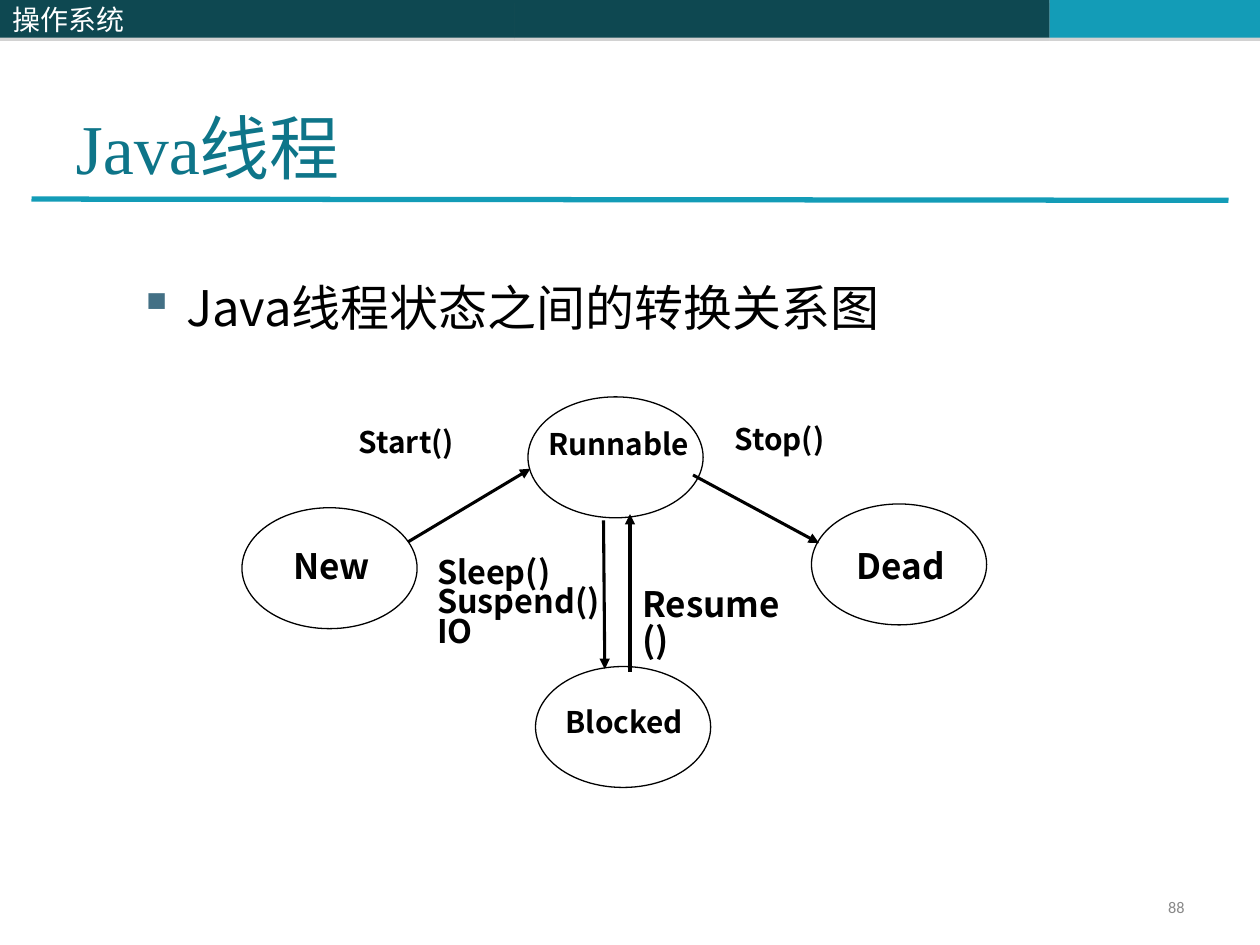
import pptx
import pptx.dml.color
import pptx.enum.shapes
import pptx.enum.text
import pptx.oxml
import pptx.oxml.ns
import pptx.util
import lxml.etree

Inches = pptx.util.Inches
Pt = pptx.util.Pt
ALIGN = pptx.enum.text.PP_ALIGN
ANCHOR = pptx.enum.text.MSO_ANCHOR
SHAPE = pptx.enum.shapes.MSO_SHAPE
COLOURS = {
    "dark": "0E4851", "accent": "139CB7", "title": "0E7589", "bullet": "437085",
    "black": "000000", "white": "FFFFFF", "number": "898989", "shadow": "808080",
}
SANS = "Noto Sans CJK SC"
TIGHT = (0.02, 0.01)
NORMAL = (0.1, 0.05)


def colour(name):
    return pptx.dml.color.RGBColor.from_string(COLOURS[name])


def add_element(parent, tag, **attributes):
    return lxml.etree.SubElement(parent, pptx.oxml.ns.qn(tag), attributes)


class SlideBuilder:
    def __init__(self, slide):
        self.slide = slide

    def fill_text(self, shape, text, size, colour_name="black", font=SANS, bold=False,
                  align=ALIGN.LEFT, spacing=None, anchor=ANCHOR.TOP, insets=NORMAL):
        frame = shape.text_frame
        frame.text = text
        frame.word_wrap = True
        frame.auto_size = pptx.enum.text.MSO_AUTO_SIZE.NONE
        frame.vertical_anchor = anchor
        frame.margin_left = frame.margin_right = Inches(insets[0])
        frame.margin_top = frame.margin_bottom = Inches(insets[1])
        for paragraph in frame.paragraphs:
            paragraph.alignment = align
            paragraph.line_spacing = spacing
            for run in paragraph.runs:
                run.font.size = Pt(size)
                run.font.name = font
                run.font.bold = bold
                run.font.color.rgb = colour(colour_name)
                add_element(run.font._element, "a:ea", typeface=SANS)

    def title(self, box, text):
        shape = self.slide.shapes.title
        shape.left, shape.top, shape.width, shape.height = map(Inches, box)
        self.fill_text(shape, text, 40, "title", "Times New Roman", anchor=ANCHOR.BOTTOM)

    def text(self, box, text, size, **style):
        shape = self.slide.shapes.add_textbox(*map(Inches, box))
        self.fill_text(shape, text, size, **style)
        return shape

    def bullet(self, box, text, size):
        shape = self.text(box, text, size)
        properties = shape.text_frame.paragraphs[0]._p.get_or_add_pPr()
        properties.set("marL", str(Inches(0.38)))
        properties.set("indent", str(Inches(-0.38)))
        bullet_colour = add_element(properties, "a:buClr")
        add_element(bullet_colour, "a:srgbClr", val=COLOURS["bullet"])
        add_element(properties, "a:buChar", char="▪")

    def header_bar(self, left, width, fill, text=""):
        bar = self.slide.shapes.add_shape(
            SHAPE.RECTANGLE, Inches(left), Inches(0), Inches(width), Inches(0.3))
        bar.shadow.inherit = False
        bar.fill.solid()
        bar.fill.fore_color.rgb = colour(fill)
        bar.line.fill.background()
        effects = bar._element.spPr.find(pptx.oxml.ns.qn("a:effectLst"))
        shadow = add_element(effects, "a:outerShdw", blurRad="0", dist=str(Pt(1.8)),
                             dir="5400000", rotWithShape="0")
        shadow_colour = add_element(shadow, "a:srgbClr", val=COLOURS["shadow"])
        add_element(shadow_colour, "a:alpha", val="35000")
        if text:
            self.fill_text(bar, text, 16, "white", anchor=ANCHOR.MIDDLE)

    def state(self, left, top, name, label_box, size, align=ALIGN.CENTER, spacing=None):
        ellipse = self.slide.shapes.add_shape(
            SHAPE.OVAL, Inches(left), Inches(top), Inches(1.39), Inches(0.96))
        ellipse.shadow.inherit = False
        ellipse.fill.solid()
        ellipse.fill.fore_color.rgb = colour("white")
        ellipse.line.color.rgb = colour("black")
        ellipse.line.width = Pt(0.75)
        self.text(label_box, name, size, bold=True, align=align, spacing=spacing,
                  insets=TIGHT)

    def line(self, start, end, colour_name="black", width=1.75, arrow=True):
        connector = self.slide.shapes.add_connector(
            pptx.enum.shapes.MSO_CONNECTOR.STRAIGHT, *map(Inches, start + end))
        connector.line.color.rgb = colour(colour_name)
        connector.line.width = Pt(width)
        add_element(connector._element.spPr, "a:effectLst")
        if arrow:
            add_element(connector.line._get_or_add_ln(), "a:tailEnd", type="triangle")


def main():
    presentation = pptx.Presentation()
    presentation.slide_width = Inches(10)
    presentation.slide_height = Inches(7.5)
    builder = SlideBuilder(presentation.slides.add_slide(presentation.slide_layouts[5]))

    builder.header_bar(4.08, 4.25, "dark")
    builder.header_bar(8.33, 1.67, "accent")
    builder.line((0.25, 1.58), (9.75, 1.59), "accent", 3, arrow=False)
    builder.header_bar(0, 4.08, "dark", "操作系统")
    builder.title((0.5, 0.3, 9, 1.25), "Java线程")
    builder.bullet((1, 2.15, 8.5, 4.5), "Java线程状态之间的转换关系图", 28)

    builder.state(4.19, 3.15, "Runnable", (4.33, 3.4, 1.25, 0.43), 17, ALIGN.JUSTIFY, 0.9)
    builder.state(4.25, 5.29, "Blocked", (4.42, 5.61, 1.07, 0.48), 17, spacing=0.9)
    builder.state(6.44, 4, "Dead", (6.71, 4.31, 0.88, 0.61), 20)
    builder.state(1.92, 4.03, "New", (2.19, 4.31, 0.88, 0.61), 20)

    transitions = [
        ((3.24, 4.3), (4.21, 3.72)),
        ((5.5, 3.77), (6.5, 4.31)),
        ((4.79, 4.13), (4.8, 5.31)),
        ((5, 5.33), (5, 4.08)),
    ]
    for start, end in transitions:
        builder.line(start, end)

    transition_labels = [
        ((3.37, 4.4, 1.55, 1.16), "Sleep()\nSuspend()\nIO", 18.5, 0.76),
        ((2.75, 3.35, 1.2, 0.48), "Start()", 17, 0.9),
        ((5.73, 3.32, 1.14, 0.51), "Stop()", 17, 0.9),
        ((5, 4.62, 1.38, 0.71), "Resume()", 20, 0.86),
    ]
    for box, label, size, spacing in transition_labels:
        builder.text(box, label, size, bold=True, align=ALIGN.JUSTIFY, spacing=spacing)

    builder.text((7.17, 7.08, 2.33, 0.27), "88", 9.3, colour_name="number", font="Calibri",
                 align=ALIGN.RIGHT, spacing=0.8, anchor=ANCHOR.MIDDLE)
    presentation.save("out.pptx")


if __name__ == "__main__":
    main()
